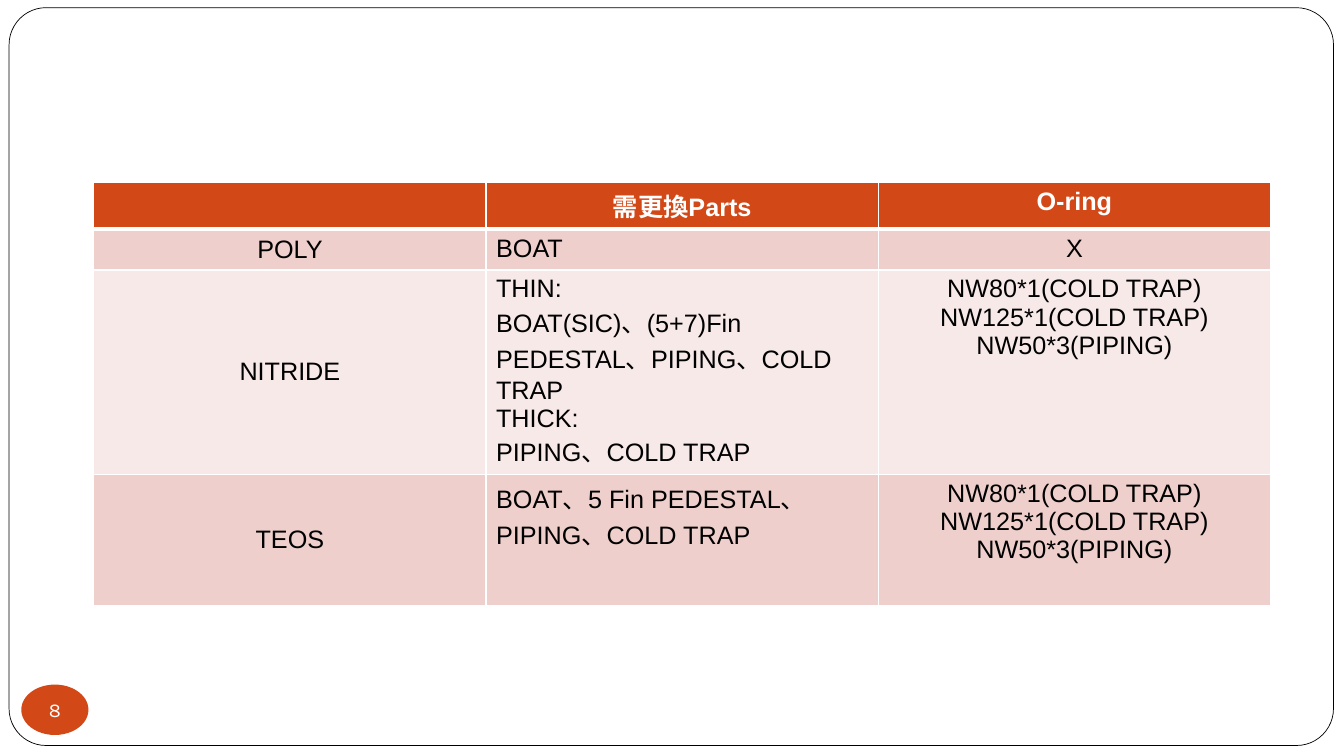
from dataclasses import dataclass

from lxml.etree import SubElement
from pptx import Presentation
from pptx.dml.color import RGBColor
from pptx.enum.shapes import MSO_SHAPE
from pptx.enum.text import MSO_ANCHOR, PP_ALIGN
from pptx.oxml.ns import qn
from pptx.util import Pt


@dataclass(frozen=True)
class Theme:
    accent: str = "D34817"
    white: str = "FFFFFF"
    black: str = "000000"
    bands: tuple = ("EFCFCC", "F7E9E8")
    table_font: str = "Arial"
    number_font: str = "Karla"
    table_size: float = 18
    number_size: float = 14


THEME = Theme()

O_RINGS = ["NW80*1(COLD TRAP)", "NW125*1(COLD TRAP)", "NW50*3(PIPING)"]
PARTS_ROWS = [
    [[], ["需更換Parts"], ["O-ring"]],
    [["POLY"], ["BOAT"], ["X"]],
    [
        ["NITRIDE"],
        ["THIN:", "BOAT(SIC)、(5+7)Fin PEDESTAL、PIPING、COLD TRAP", "THICK:", "PIPING、COLD TRAP"],
        O_RINGS,
    ],
    [["TEOS"], ["BOAT、5 Fin PEDESTAL、PIPING、COLD TRAP"], O_RINGS],
]
ROW_HEIGHTS = [32.2, 29.2, 145.8, 93.6]


def write_paragraphs(text_frame, lines, alignment, font_name, size, color, bold=False):
    for index, line in enumerate(lines):
        paragraph = text_frame.add_paragraph() if index else text_frame.paragraphs[0]
        paragraph.alignment = alignment
        run = paragraph.add_run()
        run.text = line
        run.font.name = font_name
        run.font.size = Pt(size)
        run.font.bold = bold
        run.font.color.rgb = RGBColor.from_string(color)


def add_filled_shape(slide, kind, box, fill):
    shape = slide.shapes.add_shape(kind, *map(Pt, box))
    shape.shadow.inherit = False
    shape.fill.solid()
    shape.fill.fore_color.rgb = RGBColor.from_string(fill)
    return shape


def add_frame(slide, box):
    frame = add_filled_shape(slide, MSO_SHAPE.ROUNDED_RECTANGLE, box, THEME.white)
    frame.adjustments[0] = 0.05
    frame.line.color.rgb = RGBColor.from_string(THEME.black)
    frame.line.width = Pt(0.5)


def add_page_number(slide, box, number):
    badge = add_filled_shape(slide, MSO_SHAPE.OVAL, box, THEME.accent)
    badge.line.fill.background()
    text_frame = badge.text_frame
    text_frame.word_wrap = False
    text_frame.vertical_anchor = MSO_ANCHOR.MIDDLE
    text_frame.margin_left = text_frame.margin_right = 0
    text_frame.margin_top = text_frame.margin_bottom = 0
    write_paragraphs(text_frame, [number], PP_ALIGN.CENTER,
                     THEME.number_font, THEME.number_size, THEME.white)


def set_borders(cell, top, bottom):
    """Draw white cell borders; must run before the cell fill is set."""
    properties = cell._tc.get_or_add_tcPr()
    for side, width in (("L", 1), ("R", 1), ("T", top), ("B", bottom)):
        line = SubElement(properties, qn(f"a:ln{side}"), w=str(Pt(width)))
        fill = SubElement(line, qn("a:solidFill"))
        SubElement(fill, qn("a:srgbClr"), val=THEME.white)


def add_parts_table(slide, box):
    column_count = len(PARTS_ROWS[0])
    table = slide.shapes.add_table(len(PARTS_ROWS), column_count, *map(Pt, box)).table
    table.first_row = table.horz_banding = False
    for column in table.columns:
        column.width = Pt(box[2] / column_count)
    for row_index, (row, height) in enumerate(zip(PARTS_ROWS, ROW_HEIGHTS)):
        table.rows[row_index].height = Pt(height)
        header = row_index == 0
        fill = THEME.accent if header else THEME.bands[(row_index - 1) % 2]
        for column_index, lines in enumerate(row):
            cell = table.cell(row_index, column_index)
            set_borders(cell, 3 if row_index == 1 else 1, 3 if header else 1)
            cell.fill.solid()
            cell.fill.fore_color.rgb = RGBColor.from_string(fill)
            if column_index == 0 and not header:
                cell.vertical_anchor = MSO_ANCHOR.MIDDLE
            left_aligned = column_index == 1 and not header
            write_paragraphs(cell.text_frame, lines,
                             PP_ALIGN.LEFT if left_aligned else PP_ALIGN.CENTER,
                             THEME.table_font, THEME.table_size,
                             THEME.white if header else THEME.black, header)


def main():
    presentation = Presentation()
    presentation.slide_width, presentation.slide_height = Pt(960), Pt(540)
    slide = presentation.slides.add_slide(presentation.slide_layouts[6])
    add_frame(slide, (6.5, 5.5, 946, 527))
    add_page_number(slide, (15.2, 489, 48, 36), "8")
    add_parts_table(slide, (67, 130.4, 840.6, sum(ROW_HEIGHTS)))
    presentation.save("out.pptx")


if __name__ == "__main__":
    main()
